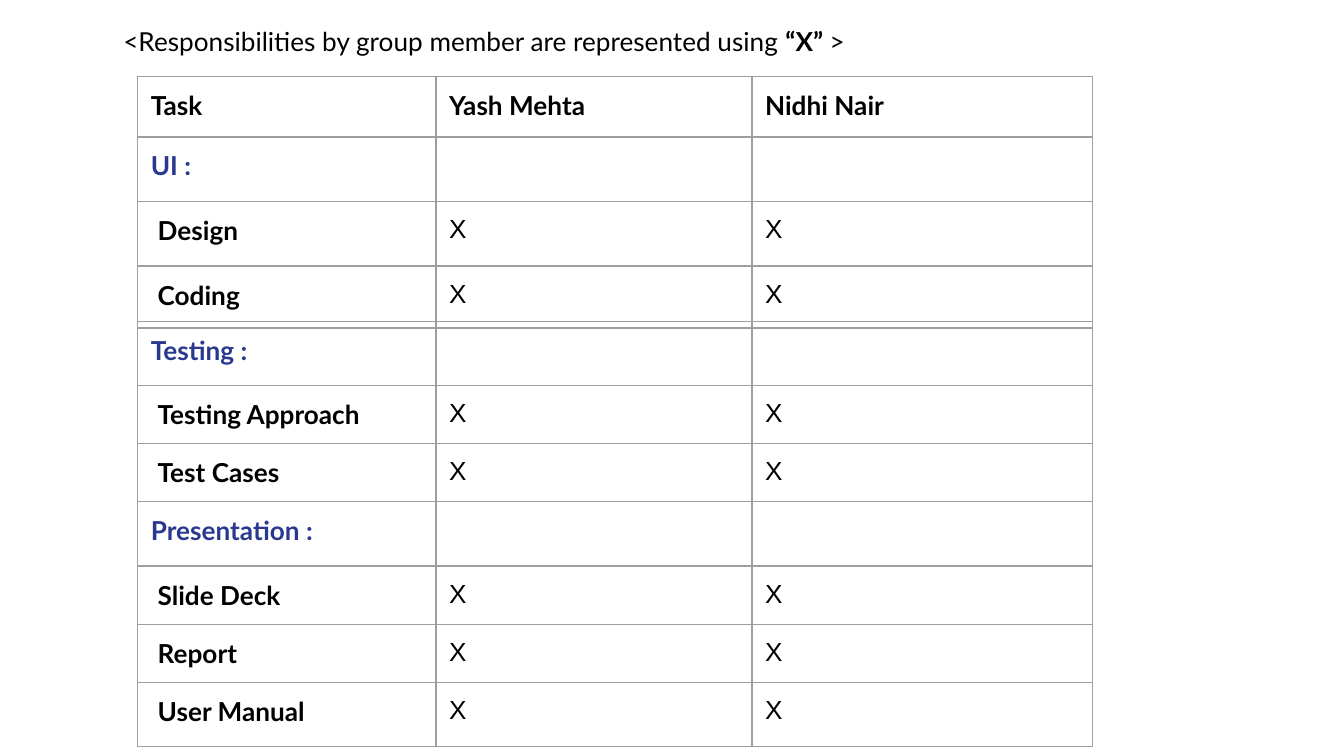
from lxml import etree
from pptx import Presentation
from pptx.dml.color import RGBColor
from pptx.enum.text import MSO_ANCHOR, MSO_AUTO_SIZE, PP_ALIGN
from pptx.oxml.ns import qn
from pptx.util import Cm, Pt

TOP, LEFT, NO_FIT = MSO_ANCHOR.TOP, PP_ALIGN.LEFT, MSO_AUTO_SIZE.NONE
BLACK = RGBColor(0x00, 0x00, 0x00)
BLUE = RGBColor(0x2A, 0x39, 0x90)
GREY = RGBColor(0x9E, 0x9E, 0x9E)

BASE = {"size": Pt(14), "name": "Lato", "bold": False}
BOLD = {**BASE, "bold": True}
MARK = {**BASE, "name": "Arial"}

INSET = Cm(0.25)
TASK_INSET = Cm(0.38)
TABLE_LEFT = Cm(2.6)
COL_WIDTHS = [Cm(5.64), Cm(5.97), Cm(6.43)]

# Row kinds: "head" for names, "group" for blue headings, "task" for marked rows
UI_ROWS = [
    ("head", "Task", 1.15),
    ("group", "UI :", 1.22),
    ("task", "Design", 1.22),
    ("task", "Coding", 1.17),
]
WORK_ROWS = [
    ("group", "Testing :", 1.21),
    ("task", "Testing Approach", 1.1),
    ("task", "Test Cases", 1.1),
    ("group", "Presentation :", 1.22),
    ("task", "Slide Deck", 1.1),
    ("task", "Report", 1.1),
    ("task", "User Manual", 1.21),
]
MEMBERS = ["Yash Mehta", "Nidhi Nair"]


def add_run(p, text, fmt, color=BLACK):
    r = p.add_run()
    r.text = text
    for key, value in fmt.items():
        setattr(r.font, key, value)
    r.font.color.rgb = color


def set_margins(obj, left=INSET):
    for side in ("top", "right", "bottom"):
        setattr(obj, f"margin_{side}", INSET)
    obj.margin_left = left


def set_borders(cell):
    tc_pr = cell._tc.get_or_add_tcPr()
    for side in ("lnL", "lnR", "lnT", "lnB"):
        ln = etree.SubElement(tc_pr, qn(f"a:{side}"), w=str(Pt(0.75)))
        fill = etree.SubElement(ln, qn("a:solidFill"))
        etree.SubElement(fill, qn("a:srgbClr"), val=str(GREY))


def fill_cell(cell, text, fmt, color=BLACK, left=INSET):
    set_margins(cell, left)
    cell.vertical_anchor = TOP
    set_borders(cell)
    cell.fill.background()
    p = cell.text_frame.paragraphs[0]
    if text:
        add_run(p, text, fmt, color)
    else:
        etree.SubElement(p._p, qn("a:endParaRPr"), sz="1400")


def add_task_table(slide, top, rows):
    height = Cm(sum(h for _, _, h in rows))
    table = slide.shapes.add_table(len(rows), len(COL_WIDTHS), TABLE_LEFT, top,
                                   sum(COL_WIDTHS), height).table
    table.first_row = table.horz_banding = False
    for col, width in zip(table.columns, COL_WIDTHS):
        col.width = width
    for i, (kind, label, row_height) in enumerate(rows):
        table.rows[i].height = Cm(row_height)
        fill_cell(table.cell(i, 0), label, BOLD,
                  BLUE if kind == "group" else BLACK,
                  TASK_INSET if kind == "task" else INSET)
        for j, member in enumerate(MEMBERS, 1):
            text = {"head": member, "group": "", "task": "X"}[kind]
            fill_cell(table.cell(i, j), text, BOLD if kind == "head" else MARK)


def add_title(slide):
    sp = slide.shapes.title
    sp.left, sp.top, sp.width, sp.height = Cm(2.08), Cm(0.23), Cm(16.31), Cm(1.22)
    tf = sp.text_frame
    tf.word_wrap, tf.auto_size, tf.vertical_anchor = True, NO_FIT, TOP
    set_margins(tf)
    p = tf.paragraphs[0]
    p.alignment = LEFT
    add_run(p, "<Responsibilities by group member are represented using ", BASE)
    add_run(p, "“X” ", BOLD)
    add_run(p, ">", BASE)


def main():
    prs = Presentation()
    prs.slide_width, prs.slide_height = Cm(25.4), Cm(14.29)
    slide = prs.slides.add_slide(prs.slide_layouts[5])
    add_title(slide)
    # The second table starts slightly above the end of the first
    add_task_table(slide, Cm(1.44), UI_ROWS)
    add_task_table(slide, Cm(6.07), WORK_ROWS)
    prs.save("out.pptx")


main()
